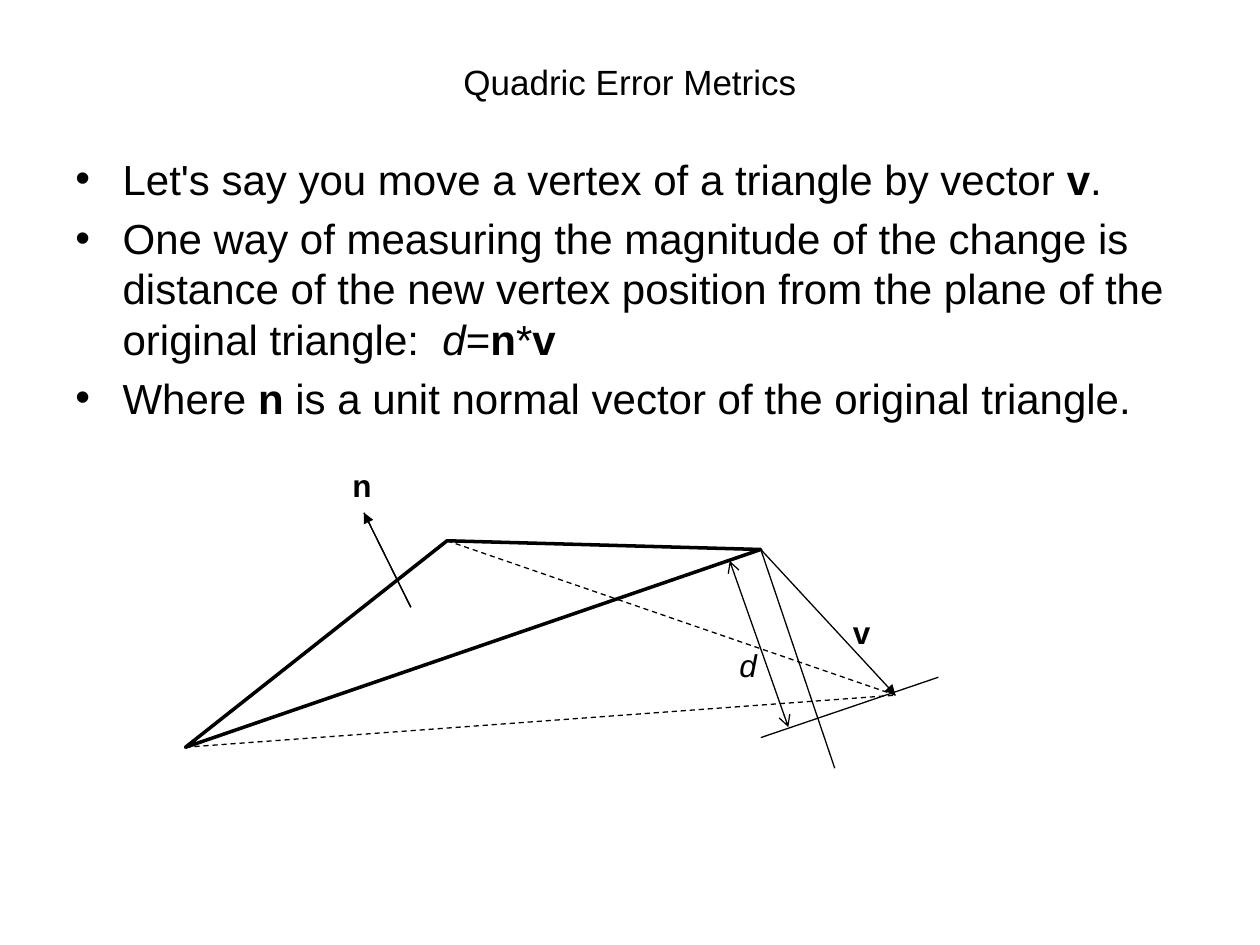
from dataclasses import dataclass

from lxml import etree
from pptx import Presentation
from pptx.dml.color import RGBColor
from pptx.enum.dml import MSO_LINE
from pptx.enum.shapes import MSO_CONNECTOR
from pptx.enum.text import MSO_ANCHOR, MSO_AUTO_SIZE, PP_ALIGN
from pptx.oxml.ns import qn
from pptx.util import Pt

STRAIGHT = MSO_CONNECTOR.STRAIGHT
DASH = MSO_LINE.DASH
MIDDLE = MSO_ANCHOR.MIDDLE
TOP = MSO_ANCHOR.TOP
CENTER = PP_ALIGN.CENTER
FIT_SHAPE = MSO_AUTO_SIZE.SHAPE_TO_FIT_TEXT

PLAIN, BOLD, ITALIC = "plain", "bold", "italic"


@dataclass(frozen=True)
class Theme:
    font: str = "Arial"
    ink: RGBColor = RGBColor(0, 0, 0)
    title_size: float = 20
    body_size: float = 24
    label_size: float = 18
    thin: float = 0.75
    thick: float = 2
    bullet_indent: float = 27
    bullet_gap: float = 5


class SlideBuilder:
    def __init__(self, slide, theme):
        self.slide = slide
        self.theme = theme

    def text_frame(self, left, top, width, height, anchor=TOP, wrap=True):
        box = self.slide.shapes.add_textbox(Pt(left), Pt(top), Pt(width), Pt(height))
        frame = box.text_frame
        frame.word_wrap = wrap
        frame.vertical_anchor = anchor
        return frame

    def format_run(self, run, size, style=PLAIN):
        font = run.font
        font.name = self.theme.font
        font.size = Pt(size)
        font.color.rgb = self.theme.ink
        font.bold = style == BOLD
        font.italic = style == ITALIC

    def title(self, text, left, top, width, height):
        paragraph = self.text_frame(left, top, width, height, MIDDLE).paragraphs[0]
        paragraph.text = text
        paragraph.alignment = CENTER
        self.format_run(paragraph.runs[0], self.theme.title_size)

    def bullets(self, items, left, top, width, height):
        """Each item is a list of (text, style) pairs."""
        frame = self.text_frame(left, top, width, height)
        for index, item in enumerate(items):
            paragraph = frame.add_paragraph() if index else frame.paragraphs[0]
            paragraph.space_before = Pt(self.theme.bullet_gap)
            for text, style in item:
                run = paragraph.add_run()
                run.text = text
                self.format_run(run, self.theme.body_size, style)
            properties = paragraph._p.get_or_add_pPr()
            indent = Pt(self.theme.bullet_indent)
            properties.set("marL", str(indent))
            properties.set("indent", str(-indent))
            etree.SubElement(properties, qn("a:buFont"), typeface=self.theme.font)
            etree.SubElement(properties, qn("a:buChar"), char="•")

    def label(self, text, style, left, top, width, height=29):
        frame = self.text_frame(left, top, width, height, wrap=False)
        frame.auto_size = FIT_SHAPE
        frame.text = text
        self.format_run(frame.paragraphs[0].runs[0], self.theme.label_size, style)

    def outline(self, points):
        start, *others = [(Pt(x), Pt(y)) for x, y in points]
        builder = self.slide.shapes.build_freeform(*start)
        builder.add_line_segments(others, close=True)
        shape = builder.convert_to_shape()
        shape.shadow.inherit = False
        shape.fill.background()
        shape.line.color.rgb = self.theme.ink
        shape.line.width = Pt(self.theme.thick)

    def line(self, start, end, dash=None, head=None, tail=None):
        """Draw a thin line; head is the arrow at start, tail the one at end."""
        points = [Pt(value) for value in (*start, *end)]
        connector = self.slide.shapes.add_connector(STRAIGHT, *points)
        connector.line.color.rgb = self.theme.ink
        connector.line.width = Pt(self.theme.thin)
        if dash:
            connector.line.dash_style = dash
        outline = connector.line._get_or_add_ln()
        for tag, arrow in (("a:headEnd", head), ("a:tailEnd", tail)):
            if arrow:
                etree.SubElement(outline, qn(tag), type=arrow)
        etree.SubElement(connector._element.spPr, qn("a:effectLst"))


def main():
    presentation = Presentation()
    presentation.slide_width = Pt(720)
    presentation.slide_height = Pt(540)
    slide = presentation.slides.add_slide(presentation.slide_layouts[6])
    builder = SlideBuilder(slide, Theme())

    builder.title("Quadric Error Metrics", 36, 21.6, 648, 50.4)
    builder.bullets(
        [
            [
                ("Let's say you move a vertex of a triangle by vector ", PLAIN),
                ("v", BOLD),
                (".", PLAIN),
            ],
            [
                ("One way of measuring the magnitude of the change is distance of "
                 "the new vertex position from the plane of the original triangle:  ", PLAIN),
                ("d", ITALIC),
                ("=", PLAIN),
                ("n", BOLD),
                ("*", PLAIN),
                ("v", BOLD),
            ],
            [
                ("Where ", PLAIN),
                ("n", BOLD),
                (" is a unit normal vector of the original triangle.", PLAIN),
            ],
        ],
        36, 84, 648, 398,
    )

    left_vertex = (106, 427)
    top_vertex = (255.5, 309)
    old_vertex = (434.75, 314)
    new_vertex = (511.75, 397.25)
    builder.outline([left_vertex, top_vertex, old_vertex])
    builder.line(old_vertex, new_vertex, tail="triangle")
    builder.line(old_vertex, (477, 439))
    builder.line((434.75, 421.5), (536.25, 387))
    for fixed_vertex in (top_vertex, left_vertex):
        builder.line(fixed_vertex, new_vertex, dash=DASH)
    builder.label("v", BOLD, 480.25, 347, 24.5)
    builder.label("d", ITALIC, 415.5, 365.75, 24.5)
    builder.line((417, 320.5), (450.5, 415.5), head="arrow", tail="arrow")
    builder.line((234.75, 347), (208, 293))
    builder.line((234.75, 347), (208, 293), tail="triangle")
    builder.label("n", BOLD, 194.25, 262.75, 26)

    presentation.save("out.pptx")


if __name__ == "__main__":
    main()
